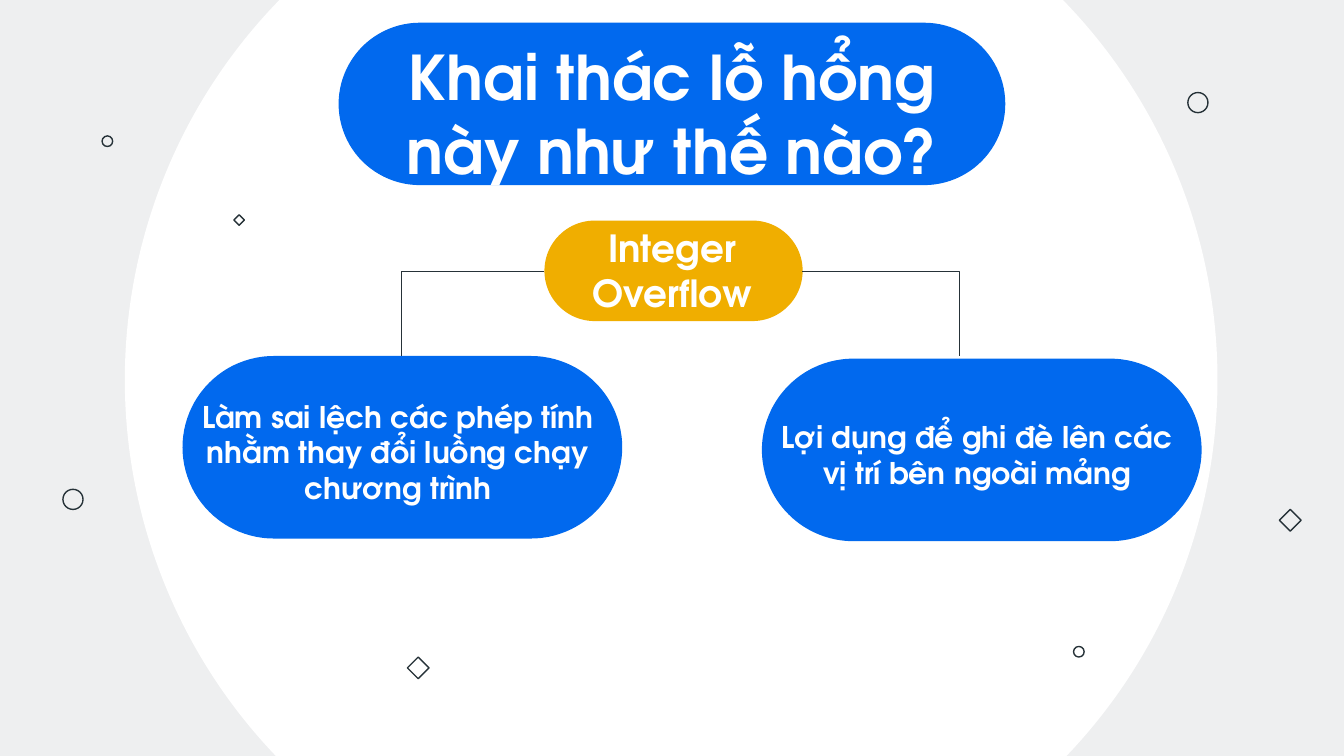
"""Build the slide on exploiting an integer overflow vulnerability."""
import dataclasses

import pptx
import pptx.dml.color
import pptx.enum.shapes
import pptx.enum.text
import pptx.oxml.ns
import pptx.oxml.xmlchemy
import pptx.util

Cm = pptx.util.Cm
Pt = pptx.util.Pt
SHAPE = pptx.enum.shapes.MSO_SHAPE
color = pptx.dml.color.RGBColor.from_string


@dataclasses.dataclass(frozen=True)
class Theme:
    backdrop: str = "EEEFF0"
    white: str = "FFFFFF"
    blue: str = "0169EE"
    amber: str = "F0AE00"
    ink: str = "263238"
    font: str = "TeX Gyre Adventor"
    title_size: int = 33
    topic_size: int = 20
    branch_size: int = 16
    line_width: float = 0.75


theme = Theme()
deck = pptx.Presentation()
deck.slide_width, deck.slide_height = Cm(25.4), Cm(14.29)
page = deck.slides.add_slide(deck.slide_layouts[6])
page.background.fill.solid()
page.background.fill.fore_color.rgb = color(theme.backdrop)


def draw_shape(kind, bounds, fill=None, line=None):
    shape = page.shapes.add_shape(kind, *map(Cm, bounds))
    shape.shadow.inherit = False
    if fill:
        shape.fill.solid()
        shape.fill.fore_color.rgb = color(fill)
    else:
        shape.fill.background()
    if line:
        shape.line.color.rgb = color(line)
        shape.line.width = Pt(theme.line_width)
    else:
        shape.line.fill.background()
    if kind == SHAPE.ROUNDED_RECTANGLE:
        shape.adjustments[0] = 0.5


def write_text(text, *, bounds, size, fill=theme.white, bold=True):
    box = page.shapes.add_textbox(*map(Cm, bounds))
    frame = box.text_frame
    frame.word_wrap = True
    frame.vertical_anchor = pptx.enum.text.MSO_ANCHOR.MIDDLE
    frame.margin_left = frame.margin_right = Cm(0.25)
    frame.margin_top = frame.margin_bottom = Cm(0.25)
    para = frame.paragraphs[0]
    para.alignment = pptx.enum.text.PP_ALIGN.CENTER
    span = para.add_run()
    span.text = text
    span.font.name = theme.font
    span.font.size = Pt(size)
    span.font.bold = bold
    span.font.color.rgb = color(fill)


draw_shape(SHAPE.OVAL, (2.36, -3.12, 20.65, 20.6), fill=theme.white)

ornaments = [
    (SHAPE.OVAL, 20.29, 12.22, 0.2),
    (SHAPE.DIAMOND, 24.18, 9.63, 0.41),
    (SHAPE.DIAMOND, 4.42, 4.06, 0.2),
    (SHAPE.DIAMOND, 7.7, 12.42, 0.41),
    (SHAPE.OVAL, 1.93, 2.57, 0.2),
    (SHAPE.OVAL, 1.19, 9.25, 0.38),
    (SHAPE.OVAL, 22.45, 1.75, 0.38),
]
for kind, left, top, side in ornaments:
    draw_shape(kind, (left, top, side, side), line=theme.ink)

draw_shape(SHAPE.ROUNDED_RECTANGLE, (10.29, 4.17, 4.88, 1.9), fill=theme.amber)
draw_shape(SHAPE.ROUNDED_RECTANGLE, (6.4, 0.43, 12.6, 3.07), fill=theme.blue)
write_text("Khai thác lỗ hổng này như thế nào?",
           bounds=(6.4, 1.47, 12.6, 1.32), size=theme.title_size)
write_text("Integer Overflow",
           bounds=(10.85, 4.65, 3.71, 0.91), size=theme.topic_size)

branches = [
    ("Làm sai lệch các phép tính nhằm thay đổi luồng chạy chương trình", 3.45, 6.73),
    ("Lợi dụng để ghi đè lên các vị trí bên ngoài mảng", 14.4, 6.78),
]
for text, left, top in branches:
    draw_shape(SHAPE.ROUNDED_RECTANGLE, (left, top, 8.31, 3.45), fill=theme.blue)
    write_text(text, bounds=(left - 0.17, top + 0.19, 8.48, 3.25),
               size=theme.branch_size)

elbows = [
    ((15.16, 5.13, 18.14, 6.73), 0),
    ((7.59, 6.73, 10.29, 5.13), 180),
]
for ends, angle in elbows:
    elbow = page.shapes.add_connector(
        pptx.enum.shapes.MSO_CONNECTOR.ELBOW, *map(Cm, ends))
    elbow.line.color.rgb = color(theme.ink)
    elbow.line.width = Pt(theme.line_width)
    properties = elbow._element.spPr
    properties.find(pptx.oxml.ns.qn("a:prstGeom")).set("prst", "bentConnector2")
    properties.find(pptx.oxml.ns.qn("a:xfrm")).set("rot", str(angle * 60000))
    properties.append(pptx.oxml.xmlchemy.OxmlElement("a:effectLst"))

deck.save("out.pptx")
